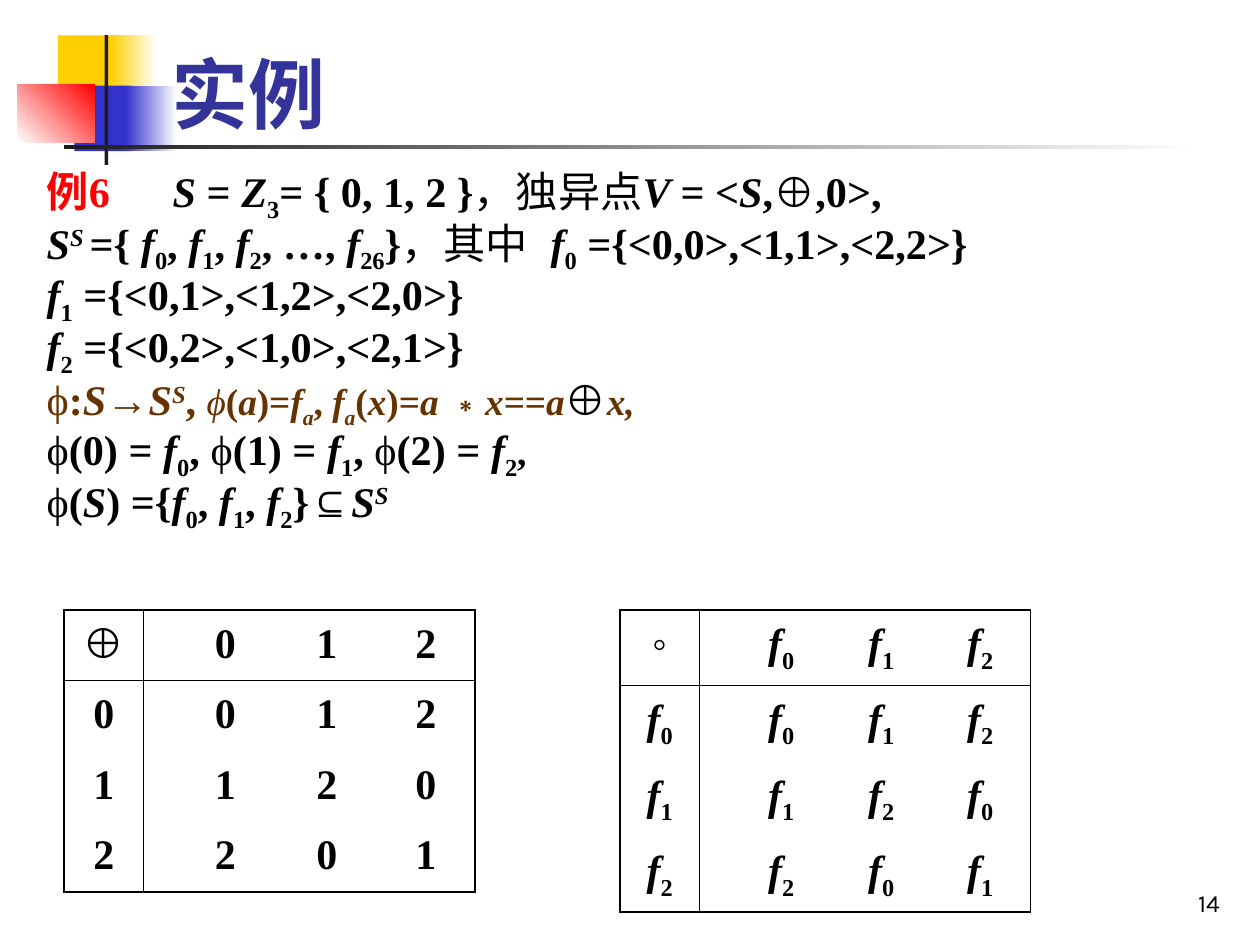
from lxml.etree import SubElement
from pptx import Presentation
from pptx.dml.color import RGBColor
from pptx.enum.shapes import MSO_SHAPE
from pptx.enum.text import MSO_ANCHOR, MSO_AUTO_SIZE, PP_ALIGN
from pptx.oxml.ns import qn
from pptx.util import Inches, Pt

HUES = {"black": "000000", "white": "FFFFFF", "red": "FF0000",
        "brown": "663300", "navy": "333399", "blue": "3333CC",
        "gold": "FFCF01", "dark": "1C1C1C"}
SERIF, SANS = "Times New Roman", "Karla"

# Each mark switches its style on and off; text is bold unless plain.
MARKS = {"/": "italic", "~": "plain", "_": "sub", "^": "sup",
         "`": "small", "!": "red", "#": "brown"}

LINES = [
    ("!例6!\t/S /= /Z/_3_= { 0, 1, 2 }~，独异点~/V /= </S/,~⊕~,0>,", 0.75),
    ("/S^S ^/={ /f/_0_, /f/_1_, /f/_2_, …, /f/_26_}~，其中~\t"
     "/f/_0_ ={<0,0>,<1,1>,<2,2>}", 4.86),
    ("/f/_1_ ={<0,1>,<1,2>,<2,0>}", None),
    ("/f/_2_ ={<0,2>,<1,0>,<2,1>}", None),
    ("#~ϕ~:/S/~→~/S^S^/, `~/ϕ/~(/a/)=/f_a_/, /f_a_/(/x/)=/a /∗/x=/=/a/`#"
     "~⊕~#`/x,/`#", None),
    ("~ϕ~(0) = /f/_0_, ~ϕ~(1) = /f/_1_, ~ϕ~(2) = /f/_2_`,`", None),
    ("~ϕ~(/S/) ={/f/_0_, /f/_1_, /f/_2_}~⊆~/S^S^/", None),
]


def color(name):
    return RGBColor.from_string(HUES[name])


def style(font, hue="black", **form):
    for key, value in form.items():
        setattr(font, key, value)
    font.color.rgb = color(hue)


def split(text):
    """Yield each stretch of marked text with the set of its styles."""
    on, part = set(), ""
    for char in text:
        if char in MARKS:
            if part:
                yield part, set(on)
            on ^= {MARKS[char]}
            part = ""
        else:
            part += char
    if part:
        yield part, on


def write(para, text, size, face=SERIF):
    for part, on in split(text):
        run = para.add_run()
        run.text = part
        hue = next((h for h in ("red", "brown") if h in on), "black")
        style(run.font, hue, name=face, bold="plain" not in on,
              italic="italic" in on, size=Pt(21.3 if "small" in on else size))
        shift = -25000 * ("sub" in on) + 30000 * ("sup" in on)
        if shift:
            run.font._element.set("baseline", str(shift))


def place(shape, left, top, width, height):
    box = {"left": left, "top": top, "width": width, "height": height}
    for key, value in box.items():
        setattr(shape, key, Inches(value))


def block(slide, box, first, last=None, angle=0):
    """Add a bar without outline, solid or fading from first to last."""
    shape = slide.shapes.add_shape(MSO_SHAPE.RECTANGLE, *map(Inches, box))
    shape.shadow.inherit = False
    shape.line.fill.background()
    if last is None:
        shape.fill.solid()
        shape.fill.fore_color.rgb = color(first)
        return
    shape.fill.gradient()
    shape.fill.gradient_angle = angle
    for stop, hue, pos in zip(shape.fill.gradient_stops, (first, last), (0, 1)):
        stop.color.rgb = color(hue)
        stop.position = pos


def emblem(slide, left, top):
    parts = [
        ((0.32, 0, 0.48, 0.52), "gold"),
        ((0.74, 0, 0.36, 0.52), "gold", "white"),
        ((0.45, 0.4, 0.46, 0.52), "blue"),
        ((0.86, 0.4, 0.4, 0.52), "blue", "white"),
        ((0, 0.39, 0.61, 0.46), "white", "red", 45),
        ((0.69, 0, 0.03, 1.03), "dark"),
        ((0.37, 0.87, 9, 0.03), "dark", "white"),
    ]
    for (x, y, width, height), *fade in parts:
        block(slide, (left + x, top + y, width, height), *fade)


def title(slide, *box):
    shape = slide.shapes.title
    place(shape, *box)
    frame = shape.text_frame
    frame.text = "实例"
    frame.vertical_anchor = MSO_ANCHOR.BOTTOM
    frame.auto_size = MSO_AUTO_SIZE.NONE
    para = frame.paragraphs[0]
    para.alignment = PP_ALIGN.LEFT
    style(para.runs[0].font, "navy", name=SANS, size=Pt(44), bold=True)


def body(slide, *box):
    shape = slide.placeholders[1]
    place(shape, *box)
    frame = shape.text_frame
    frame.auto_size = MSO_AUTO_SIZE.NONE
    for i, (text, tab) in enumerate(LINES):
        para = frame.add_paragraph() if i else frame.paragraphs[0]
        props = para._p.get_or_add_pPr()
        props.set("marL", "0")
        props.set("indent", "0")
        SubElement(props, qn("a:buNone"))
        if tab:
            tabs = SubElement(props, qn("a:tabLst"))
            SubElement(tabs, qn("a:tab"), pos=str(Inches(tab)), algn="l")
        para.line_spacing = Pt(29.5)
        para.space_before = Pt(0)
        write(para, text, 24.1)


def border(cell, row, col, last):
    """Rule the outer edges and the inner edges of the header row and column."""
    outer, inner = 1.08, 0.45
    widths = {
        "lnL": {0: outer, 1: inner}.get(col),
        "lnR": {0: inner, last[1]: outer}.get(col),
        "lnT": {0: outer, 1: inner}.get(row),
        "lnB": {0: inner, last[0]: outer}.get(row),
    }
    props = cell._tc.get_or_add_tcPr()
    for i, (side, width) in enumerate(widths.items()):
        line = SubElement(props, qn("a:" + side), w=str(Pt(width or 0)))
        if width:
            fill = SubElement(line, qn("a:solidFill"))
            SubElement(fill, qn("a:srgbClr"), val=HUES["black"])
        else:
            SubElement(line, qn("a:noFill"))
        props.insert(i, line)


def grid(slide, left, top, cols, height, sign, face, label):
    """Add the table of addition modulo 3, with label naming each element."""
    rows = [[sign, ""] + [label.format(j) for j in range(3)]]
    rows += [[label.format(i), ""] + [label.format((i + j) % 3) for j in range(3)]
             for i in range(3)]
    box = map(Inches, (left, top, sum(cols), height * len(rows)))
    table = slide.shapes.add_table(len(rows), len(cols), *box).table
    table.first_row = table.horz_banding = False
    for col, width in zip(table.columns, cols):
        col.width = Inches(width)
    for i, texts in enumerate(rows):
        for j, text in enumerate(texts):
            cell = table.cell(i, j)
            cell.fill.background()
            border(cell, i, j, (len(rows) - 1, len(cols) - 1))
            para = cell.text_frame.paragraphs[0]
            para.alignment = PP_ALIGN.CENTER
            para.line_spacing = 1.1
            write(para, text, 24, face if i == j == 0 else SERIF)


def number(slide, *box):
    frame = slide.shapes.add_textbox(*map(Inches, box)).text_frame
    frame.word_wrap = True
    frame.vertical_anchor = MSO_ANCHOR.BOTTOM
    para = frame.paragraphs[0]
    para.alignment = PP_ALIGN.RIGHT
    write(para, "~14~", 14, SANS)


def main():
    deck = Presentation()
    deck.slide_width, deck.slide_height = Inches(10), Inches(7.5)
    slide = deck.slides.add_slide(deck.slide_layouts[1])
    emblem(slide, 0.14, 0.28)
    title(slide, 1.26, 0.08, 8.52, 1.07)
    body(slide, 0.27, 1.31, 9.37, 3.39)
    grid(slide, 0.51, 4.84, (0.63, 0.24, 0.82, 0.79, 0.78), 0.56,
         "⊕", "Arial", "{}")
    grid(slide, 4.92, 4.84, (0.63, 0.24, 0.82, 0.77, 0.8), 0.6,
         "◦", SERIF, "/f/_{}_")
    number(slide, 7.7, 6.83, 2.08, 0.5)
    deck.save("out.pptx")


if __name__ == "__main__":
    main()
